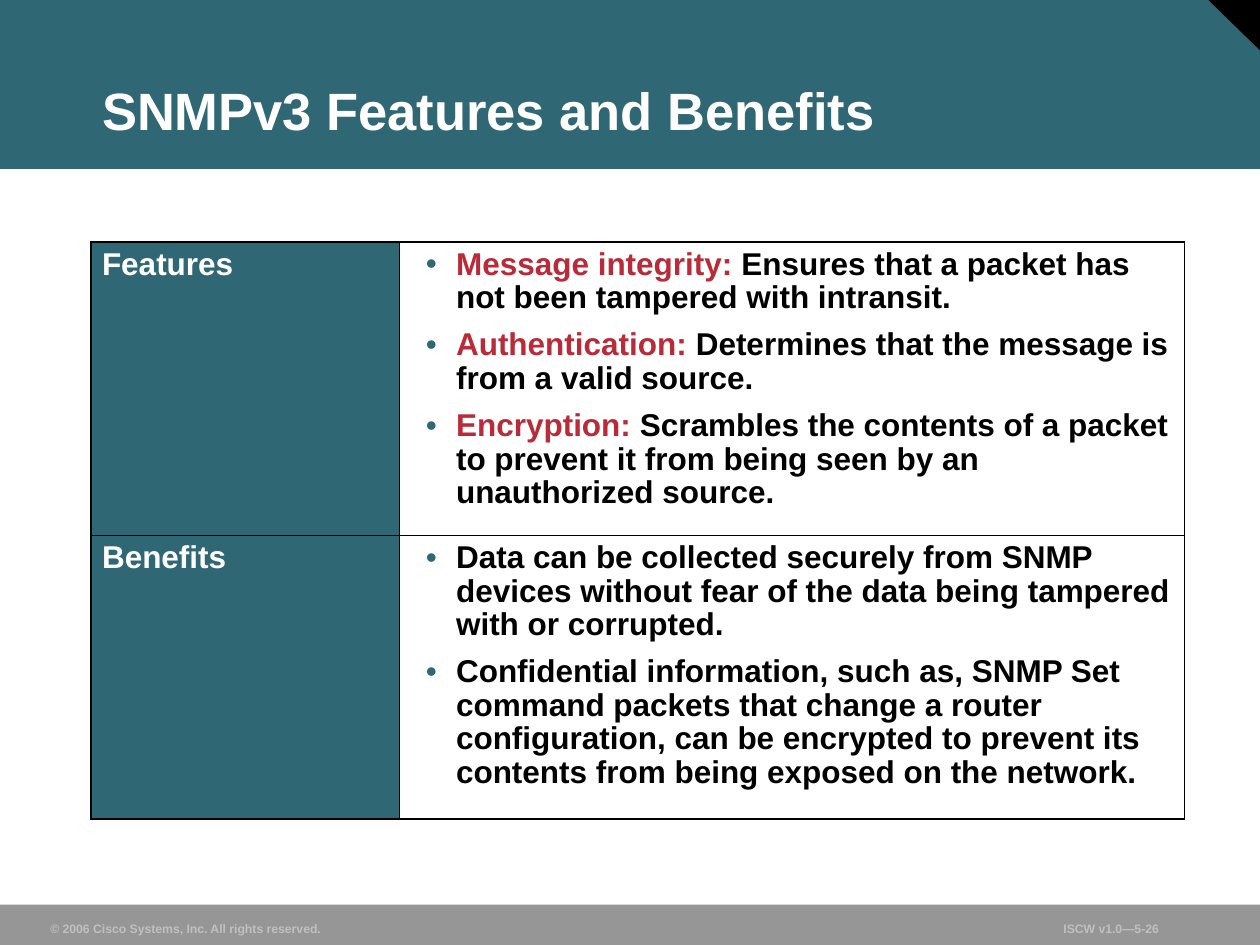
import pptx
import pptx.util
import pptx.dml.color
import pptx.enum.shapes
import pptx.enum.text
import pptx.oxml
import pptx.oxml.ns
from dataclasses import dataclass
from lxml import etree
from pptx.util import Inches, Pt

SHAPE = pptx.enum.shapes.MSO_SHAPE
ANCHOR = pptx.enum.text.MSO_ANCHOR
ALIGN = pptx.enum.text.PP_ALIGN
SIZING = pptx.enum.text.MSO_AUTO_SIZE
qn = pptx.oxml.ns.qn


@dataclass(frozen=True)
class Theme:
    face: str = "Arial"
    teal: str = "306774"
    red: str = "B92B38"
    black: str = "000000"
    white: str = "FFFFFF"
    gray: str = "969696"
    pale: str = "C0C0C0"
    head: float = 30
    body: float = 18
    foot: float = 7
    rule: float = 1.08


THEME = Theme()

# Each row: label, height, and bullets of (lead, rest)
ROWS = [
    ("Features", 2.33, [
        ("Message integrity:", " Ensures that a packet has not been tampered with intransit."),
        ("Authentication:", " Determines that the message is from a valid source."),
        ("Encryption:", " Scrambles the contents of a packet to prevent it from being "
                        "seen by an unauthorized source."),
    ]),
    ("Benefits", 2.25, [
        ("", "Data can be collected securely from SNMP devices without fear of the data "
             "being tampered with or corrupted."),
        ("", "Confidential information, such as, SNMP Set command packets that change a "
             "router configuration, can be encrypted to prevent its contents from being "
             "exposed on the network."),
    ]),
]
COLS = [2.45, 6.23]


def rgb(color):
    return pptx.dml.color.RGBColor.from_string(color)


def apply(target, values):
    for name, value in values.items():
        setattr(target, name, value)


def place(left, top, width, height):
    return [Inches(n) for n in (left, top, width, height)]


def add_run(para, text, size, color):
    run = para.add_run()
    run.text = text
    apply(run.font, {"name": THEME.face, "size": Pt(size), "bold": True})
    run.font.color.rgb = rgb(color)


def add_block(slide, kind, box, color, turn=0):
    shape = slide.shapes.add_shape(kind, *place(*box))
    shape.fill.solid()
    shape.fill.fore_color.rgb = rgb(color)
    shape.line.fill.background()
    shape.shadow.inherit = False
    shape.rotation = turn


def set_frame(frame, **extra):
    apply(frame, {"margin_left": Inches(0.09), "margin_right": Inches(0.09),
                  "margin_top": Inches(0.04), "margin_bottom": Inches(0.04),
                  "vertical_anchor": ANCHOR.BOTTOM, **extra})


def add_foot(slide, box, text):
    frame = slide.shapes.add_textbox(*place(*box)).text_frame
    set_frame(frame, word_wrap=False, auto_size=SIZING.SHAPE_TO_FIT_TEXT)
    add_run(frame.paragraphs[0], text, THEME.foot, THEME.pale)


def set_title(slide, box, text):
    title = slide.shapes.title
    apply(title, dict(zip(("left", "top", "width", "height"), place(*box))))
    set_frame(title.text_frame, word_wrap=True, auto_size=SIZING.NONE)
    para = title.text_frame.paragraphs[0]
    apply(para, {"alignment": ALIGN.LEFT, "line_spacing": 0.9})
    add_run(para, text, THEME.head, THEME.white)
    # Bring the title in front of the header band
    title.element.getparent().append(title.element)


def add_bullet(para):
    props = para._p.get_or_add_pPr()
    apply(para, {"level": 1, "line_spacing": 0.95})
    props.set("marL", str(Inches(0.36)))
    props.set("indent", str(-Inches(0.24)))
    tint = etree.SubElement(props, qn("a:buClr"))
    etree.SubElement(tint, qn("a:srgbClr"), val=THEME.teal)
    etree.SubElement(props, qn("a:buFont"), typeface=THEME.face)
    etree.SubElement(props, qn("a:buChar"), char="•")


def set_cell(cell, color):
    apply(cell, {"margin_left": Inches(0.09), "margin_right": Inches(0.09),
                 "margin_top": Inches(0.05), "margin_bottom": Inches(0.05),
                 "vertical_anchor": ANCHOR.TOP})
    # Borders come before the fill in the cell properties
    props = cell._tc.get_or_add_tcPr()
    for side in "LRTB":
        line = etree.SubElement(props, qn("a:ln" + side), w=str(Pt(THEME.rule)))
        solid = etree.SubElement(line, qn("a:solidFill"))
        etree.SubElement(solid, qn("a:srgbClr"), val=THEME.black)
    cell.fill.solid()
    cell.fill.fore_color.rgb = rgb(color)


def fill_label(cell, text):
    set_cell(cell, THEME.teal)
    para = cell.text_frame.paragraphs[0]
    para.line_spacing = 0.95
    add_run(para, text, THEME.body, THEME.white)


def fill_list(cell, items):
    set_cell(cell, THEME.white)
    frame = cell.text_frame
    for i, (lead, rest) in enumerate(items):
        para = frame.add_paragraph() if i else frame.paragraphs[0]
        add_bullet(para)
        if i:
            para.space_before = Pt(7.9)
        if lead:
            add_run(para, lead, THEME.body, THEME.red)
        add_run(para, rest, THEME.body, THEME.black)


def add_grid(slide, left, top):
    box = place(left, top, sum(COLS), sum(row[1] for row in ROWS))
    table = slide.shapes.add_table(len(ROWS), len(COLS), *box).table
    apply(table, {"first_row": False, "horz_banding": False})
    for col, width in zip(table.columns, COLS):
        col.width = Inches(width)
    for i, (label, height, items) in enumerate(ROWS):
        table.rows[i].height = Inches(height)
        fill_label(table.cell(i, 0), label)
        fill_list(table.cell(i, 1), items)


def main():
    deck = pptx.Presentation()
    apply(deck, {"slide_width": Inches(10), "slide_height": Inches(7.5)})
    slide = deck.slides.add_slide(deck.slide_layouts[5])

    # Header band, corner and footer band
    add_block(slide, SHAPE.RECTANGLE, (0, 0, 10, 1.34), THEME.teal)
    add_block(slide, SHAPE.RIGHT_TRIANGLE, (9.58, -0.01, 0.42, 0.41), THEME.black, 180)
    add_block(slide, SHAPE.RECTANGLE, (0, 7.18, 10, 0.33), THEME.gray)

    # Footer text
    add_foot(slide, (0.31, 7.26, 2.33, 0.21),
             "© 2006 Cisco Systems, Inc. All rights reserved.")
    add_foot(slide, (8.35, 7.26, 1.3, 0.21), "ISCW v1.0—5-26")

    # Title and table
    set_title(slide, (0.72, 0.25, 8.91, 0.92), "SNMPv3 Features and Benefits")
    add_grid(slide, 0.72, 1.92)
    deck.save("out.pptx")


if __name__ == "__main__":
    main()
